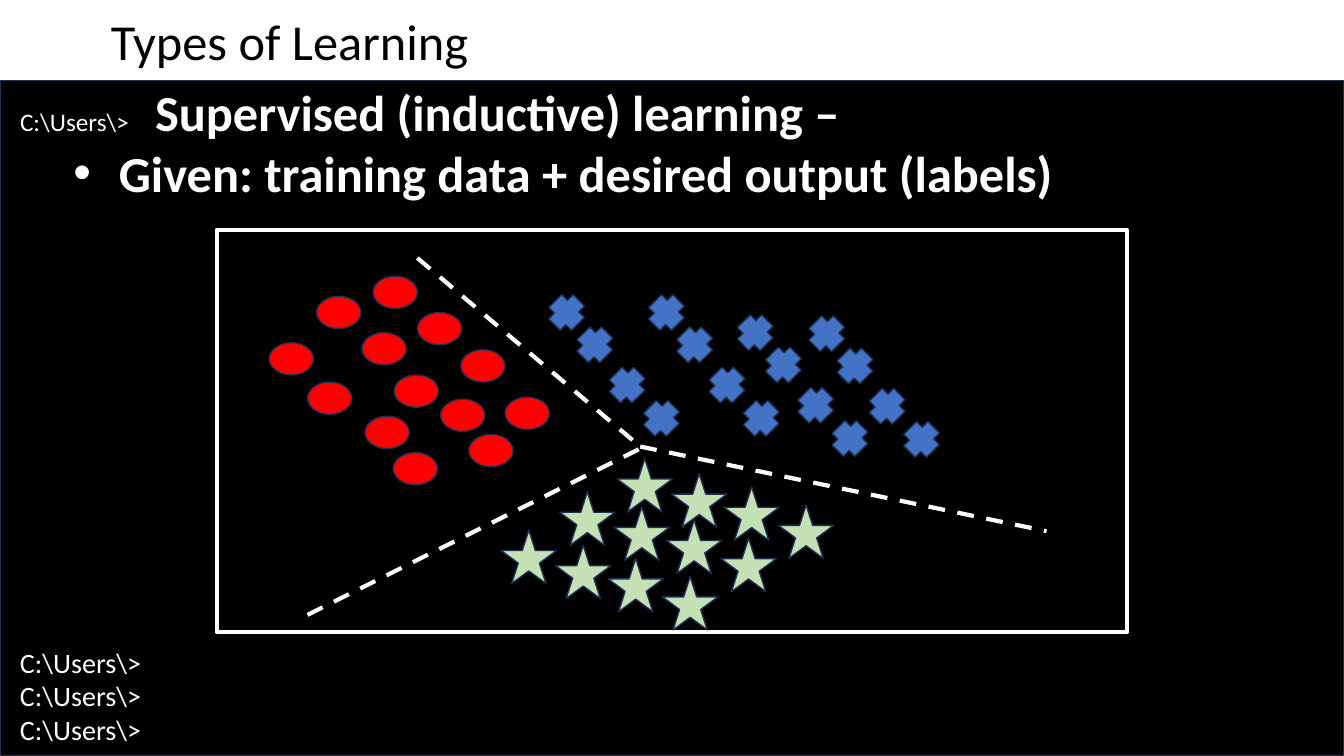
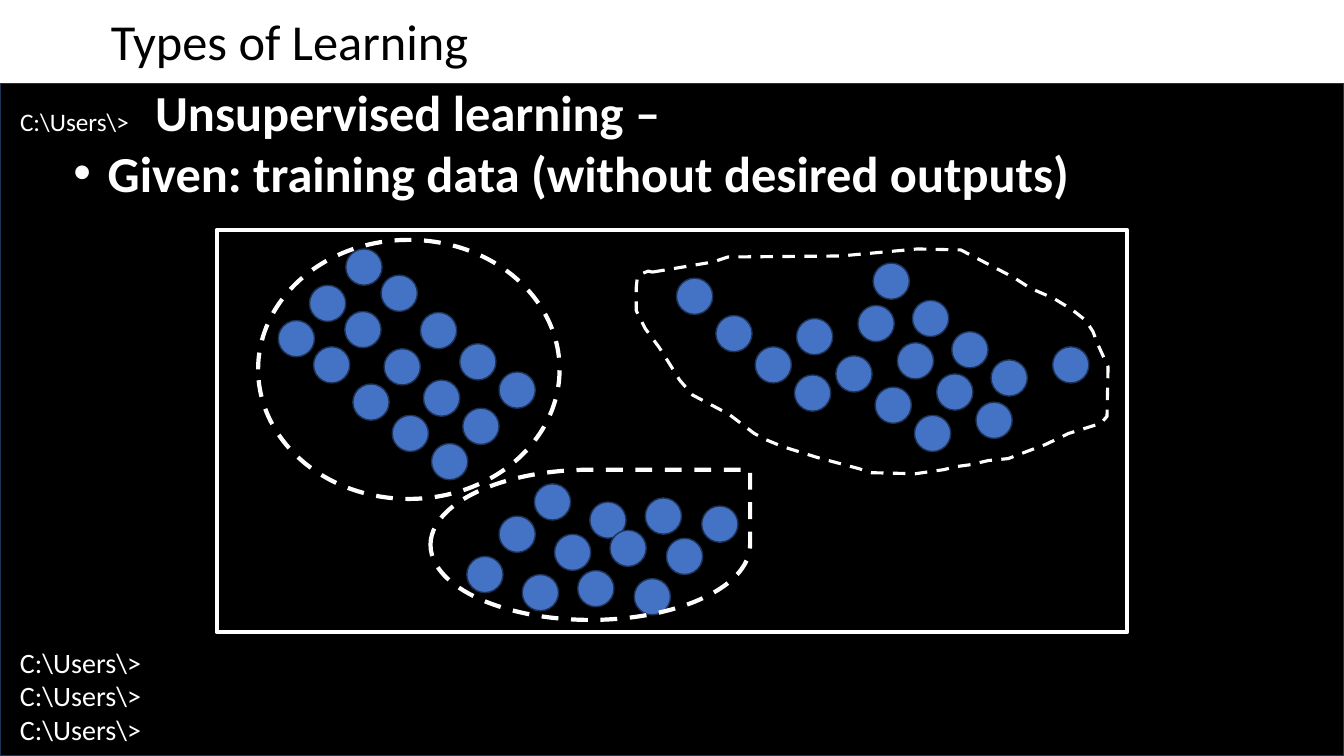
import itertools

import pptx
import pptx.dml.color
import pptx.enum.dml
import pptx.enum.shapes
import pptx.enum.text
import pptx.oxml
import pptx.oxml.ns
import pptx.util
from lxml import etree

PRESET = pptx.enum.shapes.MSO_SHAPE
COLOURS = {
    "text": "000000", "console": "000000", "chalk": "FFFFFF", "outline": "1E3256",
    "red": "FF0000", "blue": "4472C4", "green": "C5E0B4",
}
FONT = "Calibri"
TITLE = "Types of Learning"
PROMPT = "C:\\Users\\>"
FRAME = (2.15, 2.28, 9.03, 3.99)

MARKERS = {
    "disc": (PRESET.OVAL, 0.44, 0.32, "red", 0),
    "cross": (PRESET.CROSS, 0.34, 0.32, "blue", 315.3),
    "star": (PRESET.STAR_5_POINT, 0.55, 0.53, "green", 0),
    "dot": (PRESET.OVAL, 0.36, 0.36, "blue", 0),
}

CLOUD = [
    (6.47, 2.7), (7.01, 2.61), (7.1, 2.59), (7.22, 2.55), (8.34, 2.54), (9.1, 2.47),
    (9.53, 2.48), (9.99, 2.72), (10.08, 2.77), (10.22, 2.86), (10.45, 2.96),
    (10.63, 3.07), (10.77, 3.18), (10.84, 3.29), (10.89, 3.42), (10.99, 3.64),
    (10.98, 4.13), (10.92, 4.2), (10.6, 4.3), (10.37, 4.41), (10.21, 4.47),
    (10, 4.55), (9.8, 4.57), (9.63, 4.61), (9.48, 4.63), (9.36, 4.66), (9.08, 4.7),
    (8.64, 4.69), (8.52, 4.65), (8.11, 4.54), (7.76, 4.43), (7.59, 4.36), (7.48, 4.3),
    (7.23, 4.11), (6.87, 3.92), (6.74, 3.77), (6.66, 3.64), (6.54, 3.45),
    (6.4, 3.26), (6.31, 3.08), (6.31, 2.86), (6.32, 2.76), (6.38, 2.71), (6.43, 2.69),
]

SLIDES = [
    {
        "heading": "Supervised (inductive) learning –",
        "given": "Given: training data + desired output (labels)",
        "given_left": 0.98,
        "band_top": 0.8,
        "clusters": [
            ("disc",
             [(3.7, 2.74), (4.14, 3.1), (4.57, 3.47), (5.01, 3.94), (4.37, 3.96),
              (3.91, 3.72), (3.59, 3.3), (3.14, 2.94), (2.67, 3.4), (3.62, 4.13),
              (3.05, 3.79), (4.65, 4.31), (3.9, 4.49)],
             [(0, 0)]),
            ("cross",
             [(5.45, 2.94), (6.44, 2.94), (7.32, 3.14), (8.03, 3.15)],
             [(0, 0), (0.28, 0.32), (0.6, 0.72), (0.94, 1.05)]),
            ("star",
             [(6.12, 4.55), (6.66, 4.7), (7.18, 4.83), (7.72, 5.01)],
             [(0, 0), (-0.57, 0.33), (-1.15, 0.71)]),
        ],
        "boundaries": [
            (4.14, 2.56, 6.35, 4.43), (3.05, 6.1, 6.35, 4.45), (6.35, 4.43, 10.38, 5.27),
        ],
        "groups": [],
        "clouds": [],
    },
    {
        "heading": "Unsupervised learning –",
        "given": "Given: training data (without desired outputs)",
        "given_left": 0.87,
        "band_top": 0.83,
        "clusters": [
            ("dot",
             [(3.43, 2.47), (3.78, 2.73), (4.17, 3.1), (4.56, 3.41), (4.95, 3.69)],
             [(0, 0), (-0.36, 0.36), (-0.67, 0.71)]),
            ("dot",
             [(5.3, 4.8), (5.85, 4.98), (6.4, 4.94), (6.96, 5.02)],
             [(0, 0), (-0.35, 0.32), (-0.67, 0.72)]),
            ("dot",
             [(6.71, 2.76), (8.51, 3.03), (7.9, 3.16), (8.66, 2.61)],
             [(0, 0), (0.39, 0.37), (0.78, 0.68), (1.17, 0.96)]),
            ("dot", [(10.44, 3.44)], [(0, 0)]),
        ],
        "boundaries": [],
        "groups": [
            (PRESET.OVAL, (2.56, 2.38, 2.99, 2.57)),
            (PRESET.TEAR, (4.27, 4.66, 3.17, 1.49)),
        ],
        "clouds": [CLOUD],
    },
]


def inches(value):
    return pptx.util.Cm(value * 2.54)


def rgb(name):
    return pptx.dml.color.RGBColor.from_string(COLOURS[name])


def draw_line(line, colour, width, dashed=False):
    line.color.rgb = rgb(colour)
    line.width = pptx.util.Pt(width)
    if dashed:
        line.dash_style = pptx.enum.dml.MSO_LINE.DASH


def paint(shape, fill, colour, width, dashed=False):
    shape.shadow.inherit = False
    if fill:
        shape.fill.solid()
        shape.fill.fore_color.rgb = rgb(fill)
    else:
        shape.fill.background()
    draw_line(shape.line, colour, width, dashed)


def add_preset(slide, preset, box, fill, colour, width, dashed=False):
    shape = slide.shapes.add_shape(preset, *map(inches, box))
    paint(shape, fill, colour, width, dashed)
    return shape


def style(paragraph, size, colour, bold=False):
    for run in paragraph.runs:
        run.font.name = FONT
        run.font.size = pptx.util.Pt(size)
        run.font.bold = bold
        run.font.color.rgb = rgb(colour)


def add_text(slide, box):
    frame = slide.shapes.add_textbox(*map(inches, box)).text_frame
    frame.word_wrap = True
    return frame


def set_title(slide):
    title = slide.shapes.title
    title.left, title.top, title.width, title.height = map(inches, (1, 0.05, 5.9, 0.71))
    frame = title.text_frame
    frame.text = TITLE
    frame.auto_size = pptx.enum.text.MSO_AUTO_SIZE.NONE
    frame.vertical_anchor = pptx.enum.text.MSO_ANCHOR.TOP
    frame.paragraphs[0].alignment = pptx.enum.text.PP_ALIGN.LEFT
    style(frame.paragraphs[0], 36, "text")


def add_child(parent, tag, **attributes):
    return etree.SubElement(parent, pptx.oxml.ns.qn(tag), attributes)


def add_heading(slide, content):
    frame = add_text(slide, (0.1, 0.76, 12.49, 1.4))
    heading = frame.paragraphs[0]
    heading.text = PROMPT
    style(heading, 18, "chalk")
    topic = heading.add_run()
    topic.text = "\t" + content["heading"]
    topic.font.name = FONT
    topic.font.size = pptx.util.Pt(36)
    topic.font.bold = True
    topic.font.color.rgb = rgb("chalk")
    tabs = add_child(heading._p.get_or_add_pPr(), "a:tabLst")
    add_child(tabs, "a:tab", pos=str(inches(1.34)), algn="l")

    given = frame.add_paragraph()
    given.text = content["given"]
    style(given, 36, "chalk", True)
    properties = given._p.get_or_add_pPr()
    properties.set("marL", str(inches(content["given_left"])))
    properties.set("indent", str(inches(0.53 - content["given_left"])))
    add_child(properties, "a:buFont", typeface="Arial")
    add_child(properties, "a:buChar", char="•")


def add_prompts(slide):
    frame = add_text(slide, (0.1, 6.35, 3, 1.12))
    frame.text = "\n".join([PROMPT] * 3)
    for paragraph in frame.paragraphs:
        style(paragraph, 20, "chalk")


def add_cluster(slide, marker, starts, offsets):
    preset, width, height, fill, rotation = MARKERS[marker]
    for (left, top), (right, down) in itertools.product(starts, offsets):
        box = (left + right, top + down, width, height)
        add_preset(slide, preset, box, fill, "outline", 1).rotation = rotation


def add_boundary(slide, ends):
    boundary = slide.shapes.add_connector(
        pptx.enum.shapes.MSO_CONNECTOR.STRAIGHT, *map(inches, ends))
    draw_line(boundary.line, "chalk", 3, True)
    add_child(boundary._element.spPr, "a:effectLst")


def add_cloud(slide, outline):
    points = [tuple(map(inches, point)) for point in outline]
    builder = slide.shapes.build_freeform(*points[0])
    builder.add_line_segments(points[1:], close=True)
    paint(builder.convert_to_shape(), None, "chalk", 2.25, True)


def add_learning_slide(deck, content):
    slide = deck.slides.add_slide(deck.slide_layouts[5])
    set_title(slide)
    band = (0, content["band_top"], 13.33, 7.5 - content["band_top"])
    add_preset(slide, PRESET.RECTANGLE, band, "console", "outline", 1)
    add_heading(slide, content)
    add_prompts(slide)
    add_preset(slide, PRESET.RECTANGLE, FRAME, None, "chalk", 3)
    for ends in content["boundaries"]:
        add_boundary(slide, ends)
    for cluster in content["clusters"]:
        add_cluster(slide, *cluster)
    for preset, box in content["groups"]:
        add_preset(slide, preset, box, None, "chalk", 3, True)
    for outline in content["clouds"]:
        add_cloud(slide, outline)


def main():
    deck = pptx.Presentation()
    deck.slide_width, deck.slide_height = inches(13.33), inches(7.5)
    for content in SLIDES:
        add_learning_slide(deck, content)
    deck.save("out.pptx")


if __name__ == "__main__":
    main()
